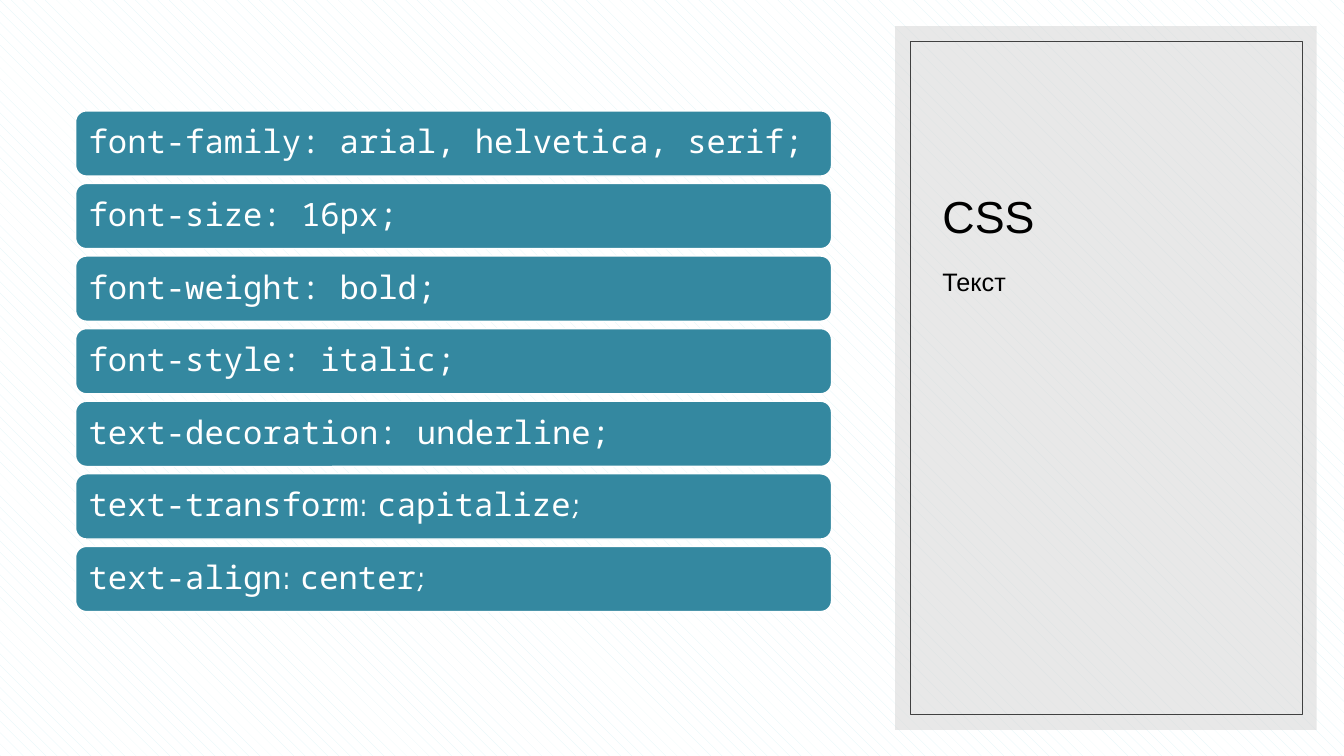
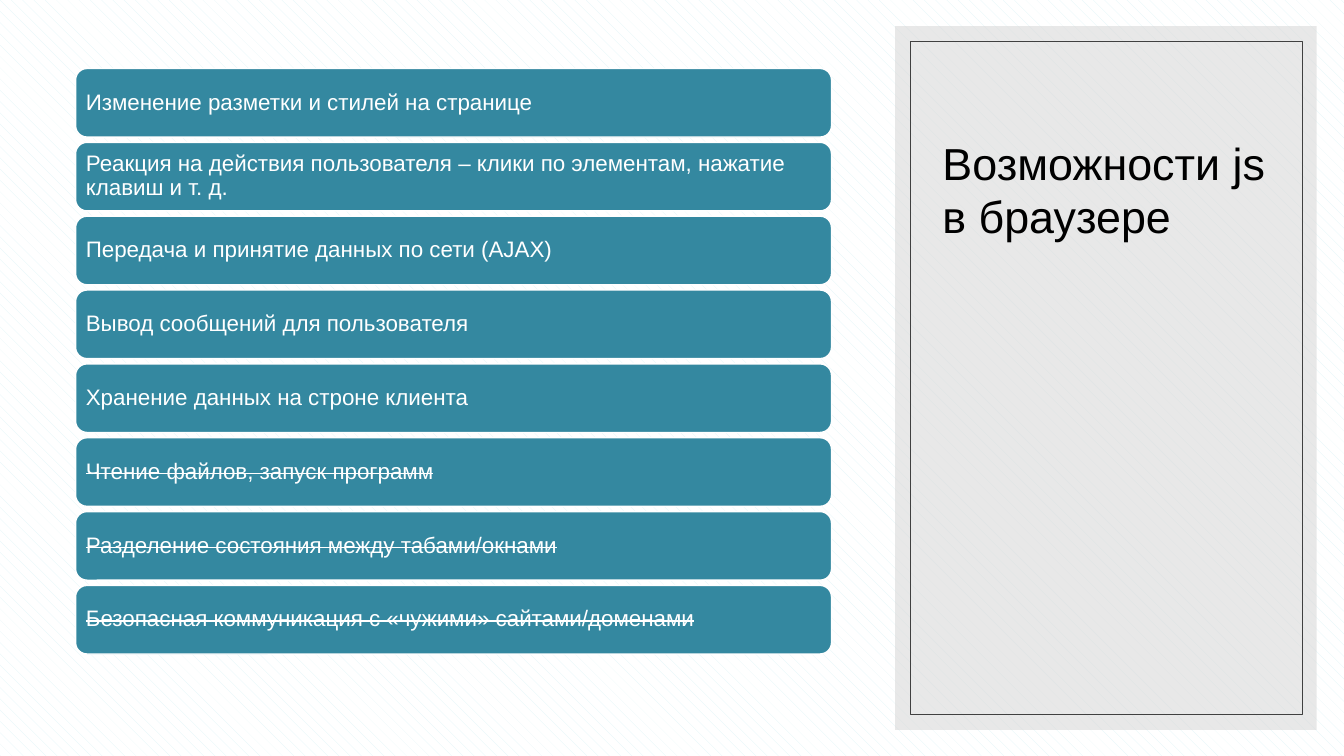
from dataclasses import dataclass, field
from typing import Any

from lxml import etree
from pptx import Presentation
from pptx.dml.color import RGBColor
from pptx.enum import dml, shapes, text
from pptx.oxml import ns
from pptx.util import Pt


# Theme: colours, fonts and type sizes
@dataclass(frozen=True)
class Theme:
    bar: RGBColor = RGBColor(0x34, 0x88, 0xA0)
    white: RGBColor = RGBColor(0xFF, 0xFF, 0xFF)
    black: RGBColor = RGBColor(0x00, 0x00, 0x00)
    panel: RGBColor = RGBColor(0xD9, 0xD9, 0xD9)
    frame: RGBColor = RGBColor(0x40, 0x40, 0x40)
    hatch: RGBColor = RGBColor(0xDE, 0xF4, 0xF7)
    panel_alpha: int = 60
    sans: str = "Arial"
    mono: str = "Noto Sans Mono"
    punctuation: str = "TeX Gyre Adventor"
    title_size: float = 32
    body_size: float = 18
    code_size: float = 23
    item_size: float = 16


THEME = Theme()


@dataclass(frozen=True)
class Box:
    left: float
    top: float
    width: float
    height: float

    def emu(self) -> tuple[Pt, Pt, Pt, Pt]:
        return Pt(self.left), Pt(self.top), Pt(self.width), Pt(self.height)


@dataclass(frozen=True)
class Row:
    """One bar; its pieces alternate between the main and the second font."""
    pieces: tuple[str, ...]
    strike: bool = False


@dataclass(frozen=True)
class BarStack:
    top: float
    pitch: float
    height: float
    inset: float
    size: float
    fonts: tuple[str, ...]
    rows: list[Row] = field(default_factory=list)


@dataclass(frozen=True)
class Page:
    title: str
    stack: BarStack
    body: str = ""


SLIDE_W, SLIDE_H = 960, 540
BAR_LEFT, BAR_WIDTH = 54, 540
PANEL = Box(639.4, 18.7, 301, 502.6)
FRAME = Box(650.2, 29.5, 280.1, 481)
TITLE = Box(666, 47.5, 249.1, 129.6)
BODY = Box(666, 184.3, 249.1, 283.7)


# Formatting helpers
def apply(obj: Any, **values: Any) -> None:
    for name, value in values.items():
        setattr(obj, name, value)


def place(sp: Any, box: Box) -> None:
    apply(sp, **dict(zip(("left", "top", "width", "height"), box.emu())))


def write(p: Any, pieces: tuple[str, ...], fonts: tuple[str, ...],
          size: float, color: RGBColor) -> None:
    p.alignment = text.PP_ALIGN.LEFT
    for i, piece in enumerate(pieces):
        r = p.add_run()
        r.text = piece
        apply(r.font, name=fonts[i % len(fonts)], size=Pt(size))
        r.font.color.rgb = color


# Shared background, side panel and placeholder positions
def set_up_layout(prs: Any, layout: Any) -> None:
    fill = prs.slide_master.background.fill
    fill.patterned()
    fill.pattern = dml.MSO_PATTERN.SHINGLE
    fill.fore_color.rgb, fill.back_color.rgb = THEME.hatch, THEME.white
    for ph, box in zip(layout.placeholders, (TITLE, BODY)):
        place(ph, box)


def add_side_panel(s: Any, layout: Any) -> None:
    """Draw the panel and its frame, then move both to the layout."""
    panel, frame = (s.shapes.add_shape(shapes.MSO_SHAPE.RECTANGLE, *box.emu())
                    for box in (PANEL, FRAME))
    panel.fill.solid()
    panel.fill.fore_color.rgb = THEME.panel
    panel.line.fill.background()
    color = panel.element.spPr.find(ns.qn("a:solidFill"))[0]
    etree.SubElement(color, ns.qn("a:alpha"), val=str(THEME.panel_alpha * 1000))
    frame.fill.background()
    frame.line.color.rgb = THEME.frame
    frame.line.width = Pt(0.5)
    for sp in (panel, frame):
        sp.shadow.inherit = False
        layout.shapes.element.append(sp.element)


# Slide elements
def fill_placeholders(s: Any, page: Page) -> None:
    title, body = s.placeholders
    tf = title.text_frame
    apply(tf, vertical_anchor=text.MSO_ANCHOR.BOTTOM, word_wrap=True,
          auto_size=text.MSO_AUTO_SIZE.NONE)
    write(tf.paragraphs[0], (page.title,), (THEME.sans,), THEME.title_size, THEME.black)
    if not page.body:
        body.element.getparent().remove(body.element)
        return
    tf = body.text_frame
    apply(tf, vertical_anchor=text.MSO_ANCHOR.TOP, word_wrap=True,
          auto_size=text.MSO_AUTO_SIZE.NONE)
    p = tf.paragraphs[0]
    apply(p, line_spacing=1.1, space_before=Pt(8))
    write(p, (page.body,), (THEME.sans,), THEME.body_size, THEME.black)
    for pPr in body.element.iter(ns.qn("a:pPr")):
        pPr.set("marL", "0")
        pPr.set("indent", "0")
        etree.SubElement(pPr, ns.qn("a:buNone"))


def add_bar(s: Any, stack: BarStack, index: int, row: Row) -> None:
    box = Box(BAR_LEFT, stack.top + index * stack.pitch, BAR_WIDTH, stack.height)
    sp = s.shapes.add_shape(shapes.MSO_SHAPE.ROUNDED_RECTANGLE, *box.emu())
    sp.shadow.inherit = False
    sp.fill.solid()
    sp.fill.fore_color.rgb = THEME.bar
    sp.line.color.rgb = THEME.white
    sp.line.width = Pt(1)
    tf = sp.text_frame
    sides = ("left", "top", "right", "bottom")
    apply(tf, word_wrap=True, vertical_anchor=text.MSO_ANCHOR.MIDDLE,
          **{f"margin_{side}": Pt(stack.inset) for side in sides})
    p = tf.paragraphs[0]
    p.line_spacing = 0.9
    write(p, row.pieces, stack.fonts, stack.size, THEME.white)
    if row.strike:
        for rPr in sp.element.iter(ns.qn("a:rPr")):
            rPr.set("strike", "sngStrike")


# Content
CSS_STACK = BarStack(
    top=79.2, pitch=51.85, height=46.6, inset=7.2, size=THEME.code_size,
    fonts=(THEME.mono, THEME.punctuation),
    rows=[
        Row(("font-family: arial, helvetica, serif;",)),
        Row(("font-size: 16px;",)),
        Row(("font-weight: bold;",)),
        Row(("font-style: italic;",)),
        Row(("text-decoration: underline;",)),
        Row(("text-transform", ": ", "capitalize", ";")),
        Row(("text-align", ": ", "center", ";")),
    ])

JS_STACK = BarStack(
    top=48.9, pitch=52.75, height=49, inset=5, size=THEME.item_size,
    fonts=(THEME.sans,),
    rows=[
        Row(("Изменение разметки и стилей на странице",)),
        Row(("Реакция на действия пользователя – клики по элементам, "
             "нажатие клавиш и т. д.",)),
        Row(("Передача и принятие данных по сети (AJAX)",)),
        Row(("Вывод сообщений для пользователя",)),
        Row(("Хранение данных на строне клиента",)),
        Row(("Чтение файлов, запуск программ",), strike=True),
        Row(("Разделение состояния между табами/окнами",), strike=True),
        Row(("Безопасная коммуникация с «чужими» сайтами/доменами",), strike=True),
    ])

PAGES = [
    Page("CSS", CSS_STACK, body="Текст"),
    Page("Возможности js в браузере", JS_STACK),
]


# Build
def main() -> None:
    prs = Presentation()
    apply(prs, slide_width=Pt(SLIDE_W), slide_height=Pt(SLIDE_H))
    layout = prs.slide_layouts[1]
    set_up_layout(prs, layout)
    for number, page in enumerate(PAGES):
        s = prs.slides.add_slide(layout)
        if number == 0:
            add_side_panel(s, layout)
        fill_placeholders(s, page)
        for index, row in enumerate(page.stack.rows):
            add_bar(s, page.stack, index, row)
    prs.save("out.pptx")


main()
